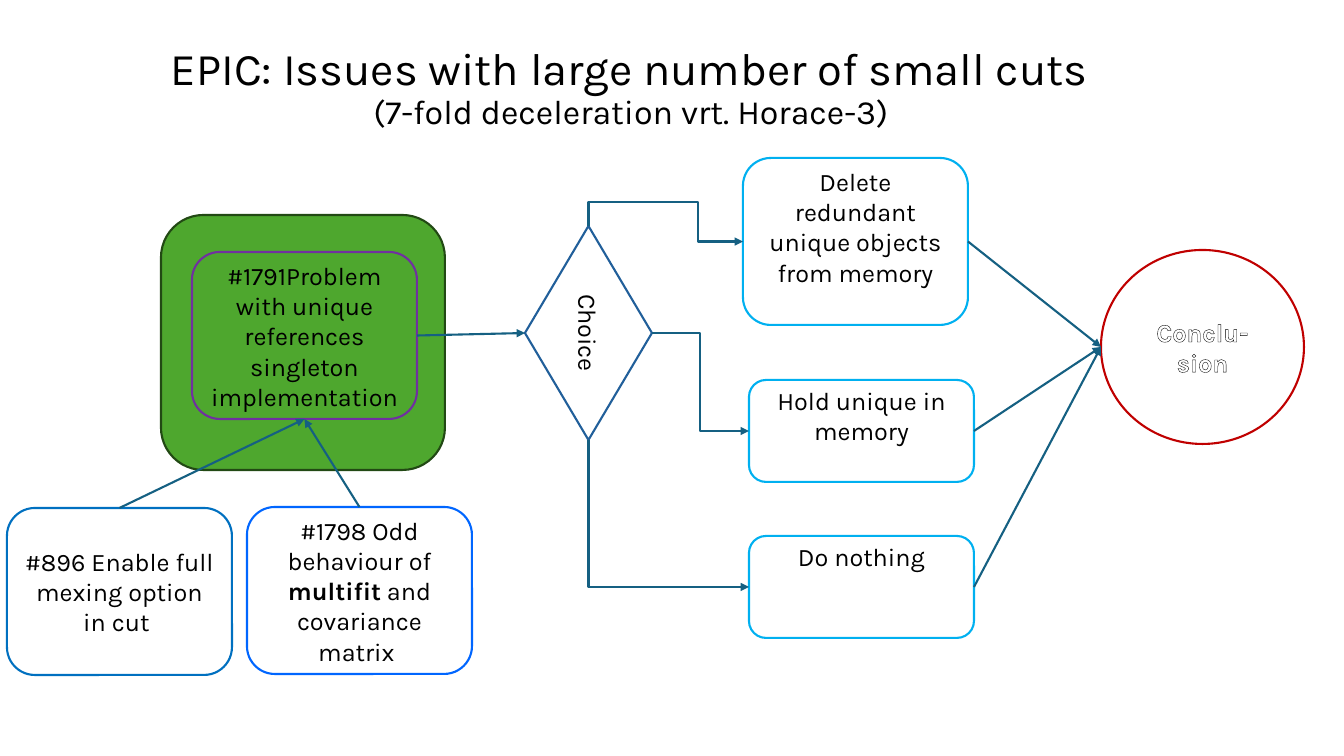
from lxml.etree import SubElement
from pptx import Presentation
from pptx.dml.color import RGBColor
from pptx.enum.shapes import MSO_CONNECTOR as LINK, MSO_SHAPE as SHAPE
from pptx.enum.text import MSO_ANCHOR as ANCHOR, PP_ALIGN as ALIGN
from pptx.oxml.ns import qn
from pptx.util import Pt

SCALE = 914400 / 100.8
SIZE = (1344, 756)
THEME = dict(font="Karla", ink="000000", green="4EA72E", edge="224914",
             violet="7030A0", red="C00000", blue="0066FF", sky="00B0F0",
             navy="215F9A", azure="0070C0", link="156082", white="FFFFFF",
             head=32.4, sub=24.3, body=18, line=1.5, rim=0.75)

TITLE = (131, 38, 1008, 99)
LINES = [("EPIC: Issues with large number of small cuts ", "head"),
         ("(7-fold deceleration vrt. Horace-3) ", "sub")]

# name: shape, box, line colour, anchor, runs of (text, bold)
ROUND, TOP, MID = SHAPE.ROUNDED_RECTANGLE, ANCHOR.TOP, ANCHOR.MIDDLE
NODES = {
    "frame": (ROUND, (161, 215, 284, 255), "edge", MID, []),
    "issue": (ROUND, (192, 252, 225, 167), "violet", TOP,
              [("#1791Problem with unique references singleton implementation", False)]),
    "end": (SHAPE.OVAL, (1101, 250, 203, 194), "red", MID, [("Conclu-sion", True)]),
    "odd": (ROUND, (247, 507, 225, 167), "blue", MID,
            [("#1798 Odd behaviour of ", False), ("multifit", True),
             (" and covariance matrix ", False)]),
    "delete": (ROUND, (743, 158, 225, 167), "sky", TOP,
               [("Delete redundant unique objects from memory", False)]),
    "hold": (ROUND, (749, 380, 225, 102), "sky", TOP, [("Hold unique in memory", False)]),
    "choice": (SHAPE.DIAMOND, (525, 226, 127, 214), "navy", MID, [("Choice", False)]),
    "none": (ROUND, (749, 536, 225, 102), "sky", TOP, [("Do nothing", False)]),
    "mex": (ROUND, (7, 508, 225, 167), "azure", MID,
            [("#896 Enable full mexing option in cut ", False)]),
}

# from, site, to, site, preset, bends
NORTH, WEST, SOUTH, EAST = range(4)
LINKS = [
    ("odd", NORTH, "issue", SOUTH, "line", ()),
    ("mex", NORTH, "issue", SOUTH, "line", ()),
    ("issue", EAST, "choice", WEST, "line", ()),
    ("choice", NORTH, "delete", WEST, "bentConnector4", (-153100, 70700)),
    ("choice", EAST, "hold", WEST, "bentConnector3", (50000,)),
    ("choice", SOUTH, "none", WEST, "bentConnector2", ()),
    ("delete", EAST, "end", WEST, "line", ()),
    ("hold", EAST, "end", WEST, "line", ()),
    ("none", EAST, "end", WEST, "line", ()),
]


def emu(px):
    return round(px * SCALE)


def rgb(name):
    return RGBColor.from_string(THEME[name])


def put(item, style):
    for key, value in style.items():
        setattr(item, key, value)


def write(para, text, size="body", bold=False, tint="ink"):
    run = para.add_run()
    run.text = text
    put(run.font, dict(name=THEME["font"], size=Pt(THEME[size]), bold=bold))
    run.font.color.rgb = rgb(tint)
    return run


def rim(run):
    """Outline the letters of a run."""
    props = run.font._element
    line = SubElement(props, qn("a:ln"), w=str(Pt(THEME["rim"])))
    fill = SubElement(line, qn("a:solidFill"))
    SubElement(fill, qn("a:srgbClr"), val=THEME["ink"])
    props.insert(0, line)


def node(slide, name):
    kind, box, edge, anchor, runs = NODES[name]
    shape = slide.shapes.add_shape(kind, *map(emu, box))
    shape.shadow.inherit = False
    shape.fill.background()
    shape.line.color.rgb = rgb(edge)
    shape.line.width = Pt(THEME["line"])
    frame = shape.text_frame
    put(frame, dict(word_wrap=True, vertical_anchor=anchor))
    if anchor == TOP:
        put(frame, dict(margin_top=0))
    para = frame.paragraphs[0]
    para.alignment = ALIGN.CENTER
    for text, bold in runs:
        run = write(para, text, bold=bold, tint="white" if name == "end" else "ink")
        if name == "end":
            rim(run)
    return shape


def turn(link):
    """Lay a bent link on its side so that it leaves its start vertically."""
    wide, high = link.width, link.height
    left, top = link.left + (wide - high) // 2, link.top + (high - wide) // 2
    put(link, dict(left=left, top=top, width=high, height=wide))
    frame = link._element.spPr.find(qn("a:xfrm"))
    for key in ("flipH", "flipV"):
        frame.attrib.pop(key, None)
    frame.set("rot", "16200000")
    frame.set("flipH", "1")


def join(slide, nodes, start, out, stop, into, preset, bends):
    kind = LINK.STRAIGHT if preset == "line" else LINK.ELBOW
    link = slide.shapes.add_connector(kind, 0, 0, 0, 0)
    link.begin_connect(nodes[start], out)
    link.end_connect(nodes[stop], into)
    if stop == "end":  # an oval has eight sites; its left one is number 2
        next(link._element.iter(qn("a:endCxn"))).set("idx", "2")
    link.line.color.rgb = rgb("link")
    link.line.width = Pt(THEME["line"])
    props = link._element.spPr
    SubElement(props.find(qn("a:ln")), qn("a:tailEnd"), type="triangle")
    SubElement(props, qn("a:effectLst"))
    if kind == LINK.ELBOW:
        shape = props.find(qn("a:prstGeom"))
        shape.set("prst", preset)
        guides = shape.find(qn("a:avLst"))
        for num, bend in enumerate(bends, 1):
            SubElement(guides, qn("a:gd"), name=f"adj{num}", fmla=f"val {bend}")
        if out != EAST:
            turn(link)


def title(slide):
    frame = slide.shapes.add_textbox(*map(emu, TITLE)).text_frame
    put(frame, dict(word_wrap=True, vertical_anchor=ANCHOR.BOTTOM))
    para = frame.paragraphs[0]
    put(para, dict(alignment=ALIGN.CENTER, line_spacing=0.9))
    for num, (text, size) in enumerate(LINES):
        if num:
            para.add_line_break()
        write(para, text, size)


def main():
    deck = Presentation()
    put(deck, dict(slide_width=emu(SIZE[0]), slide_height=emu(SIZE[1])))
    slide = deck.slides.add_slide(deck.slide_layouts[6])
    title(slide)
    nodes = {name: node(slide, name) for name in NODES}
    nodes["frame"].fill.solid()
    nodes["frame"].fill.fore_color.rgb = rgb("green")
    nodes["choice"].text_frame._txBody.bodyPr.set("vert", "vert")
    for link in LINKS:
        join(slide, nodes, *link)
    deck.save("out.pptx")


if __name__ == "__main__":
    main()
